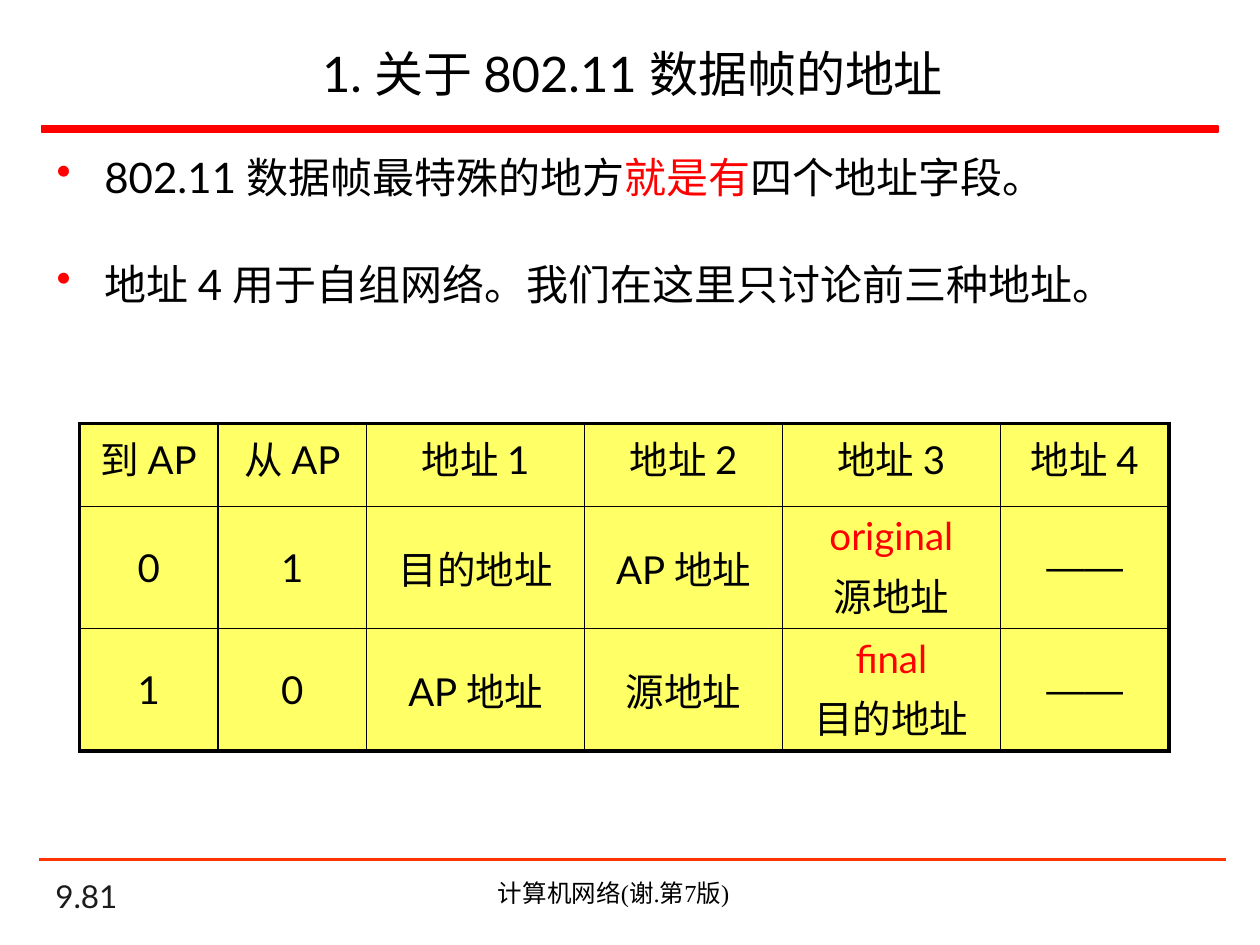
from lxml import etree
from pptx import Presentation, util as u
from pptx.dml.color import RGBColor
from pptx.enum import shapes, text
from pptx.oxml import ns

BLACK, RED, YELLOW = "000000", "FF0000", "FFFF66"
DASH = "——"
ROWS = [
    ["到 AP", "从 AP", "地址 1", "地址 2", "地址 3", "地址 4"],
    ["0", "1", "目的地址", "AP 地址", ("original", "源地址"), DASH],
    ["1", "0", "AP 地址", "源地址", ("final", "目的地址"), DASH],
]
COLUMN_WIDTHS = [1.1, 1.18, 1.73, 1.57, 1.73, 1.34]
ROW_HEIGHTS = [0.66, 0.97, 0.97]


def colour(value):
    """Turn a hex string into a colour."""
    return RGBColor.from_string(value)


def inches(box):
    """Turn the numbers of a box into lengths."""
    return [u.Inches(value) for value in box]


def add_span(para, words, size, hue=BLACK, face="Lato"):
    """Add one formatted run to a paragraph."""
    span = para.add_run()
    span.text = words
    span.font.size = u.Pt(size)
    span.font.name = face
    span.font.color.rgb = colour(hue)


def add_text_box(page, box):
    """Add a wrapping text box and return its frame."""
    frame = page.shapes.add_textbox(*inches(box)).text_frame
    frame.word_wrap = True
    return frame


def set_title(page, box):
    """Place and fill the title with the red bar below it."""
    title = page.shapes.title
    title.left, title.top, title.width, title.height = inches(box)
    frame = title.text_frame
    frame.vertical_anchor = text.MSO_ANCHOR.MIDDLE
    para = frame.paragraphs[0]
    para.alignment = text.PP_ALIGN.CENTER
    add_span(para, "1. 关于 802.11 数据帧的地址", 28)
    left, top, _, height = box
    bar_box = left - 0.06, top + height + 0.06, 9.34, 0.05
    bar = page.shapes.add_shape(shapes.MSO_SHAPE.RECTANGLE, *inches(bar_box))
    bar.shadow.inherit = False
    bar.fill.solid()
    bar.fill.fore_color.rgb = colour(RED)
    bar.line.color.rgb = colour(RED)
    bar.line.width = u.Pt(1)


def add_bullet(para):
    """Give a paragraph a hanging red bullet."""
    props = para._p.get_or_add_pPr()
    props.set("marL", str(u.Inches(0.38)))
    props.set("indent", str(u.Inches(-0.38)))
    hue = etree.SubElement(props, ns.qn("a:buClr"))
    etree.SubElement(hue, ns.qn("a:srgbClr"), val=RED)
    etree.SubElement(props, ns.qn("a:buChar"), char="•")


def add_points(page, box):
    """Write the two bulleted points."""
    frame = add_text_box(page, box)
    first, second = frame.paragraphs[0], frame.add_paragraph()
    for para in (first, second):
        add_bullet(para)
    second.space_before = u.Pt(32.7)
    add_span(first, "802.11 数据帧最特殊的地方", 24)
    add_span(first, "就是有", 24, RED)
    add_span(first, "四个地址字段。", 24)
    add_span(second, "地址 4 用于自组网络。我们在这里只讨论前三种地址。", 24)


def set_borders(cell, outer_sides):
    """Draw thin cell borders, thick on the outer sides."""
    props = cell._tc.get_or_add_tcPr()
    for index, side in enumerate("LRTB"):
        width = u.Pt(2.25 if side in outer_sides else 1)
        line = etree.Element(ns.qn(f"a:ln{side}"), w=str(width))
        fill = etree.SubElement(line, ns.qn("a:solidFill"))
        etree.SubElement(fill, ns.qn("a:srgbClr"), val=BLACK)
        props.insert(index, line)


def fill_cell(cell, content, anchor):
    """Colour a cell and write its centred lines."""
    cell.fill.solid()
    cell.fill.fore_color.rgb = colour(YELLOW)
    cell.vertical_anchor = anchor
    lines = [content] if isinstance(content, str) else content
    frame = cell.text_frame
    for index, words in enumerate(lines):
        para = frame.add_paragraph() if index else frame.paragraphs[0]
        para.alignment = text.PP_ALIGN.CENTER
        if index:
            para.space_before = u.Pt(4.4)
        hue = RED if len(lines) > 1 and index == 0 else BLACK
        add_span(para, words, 22, hue, "Arial" if words == DASH else "Lato")


def add_address_table(page, left, top):
    """Build the table of address fields."""
    box = left, top, sum(COLUMN_WIDTHS), sum(ROW_HEIGHTS)
    table = page.shapes.add_table(len(ROWS), len(COLUMN_WIDTHS), *inches(box)).table
    for column, width in zip(table.columns, COLUMN_WIDTHS):
        column.width = u.Inches(width)
    last_row, last_column = len(ROWS) - 1, len(COLUMN_WIDTHS) - 1
    for r, row in enumerate(ROWS):
        table.rows[r].height = u.Inches(ROW_HEIGHTS[r])
        anchor = text.MSO_ANCHOR.MIDDLE if r else text.MSO_ANCHOR.TOP
        for c, content in enumerate(row):
            cell = table.cell(r, c)
            fill_cell(cell, content, anchor)
            edges = {"L": c == 0, "R": c == last_column, "T": r == 0, "B": r == last_row}
            set_borders(cell, [side for side, outer in edges.items() if outer])


def add_footer(page, left, top, width):
    """Draw the footer rule, page number and book name."""
    ends = inches((left, top, left + width, top))
    rule = page.shapes.add_connector(shapes.MSO_CONNECTOR.STRAIGHT, *ends)
    rule.line.color.rgb = colour("FF3300")
    rule.line.width = u.Pt(1.5)
    etree.SubElement(rule._element.spPr, ns.qn("a:effectLst"))
    number = add_text_box(page, (left + 0.03, top + 0.16, 2.08, 0.33))
    number.vertical_anchor = text.MSO_ANCHOR.BOTTOM
    add_span(number.paragraphs[0], "9.81", 18, "1C1C1C")
    book = add_text_box(page, (left + 2.52, top + 0.1, 4.08, 0.34)).paragraphs[0]
    book.alignment = text.PP_ALIGN.CENTER
    add_span(book, "计算机网络(谢.第7版)", 14, BLACK, "Times New Roman")


def main():
    """Build the slide and save it."""
    deck = Presentation()
    deck.slide_width, deck.slide_height = u.Inches(10), u.Inches(7.5)
    page = deck.slides.add_slide(deck.slide_layouts[5])
    set_title(page, (0.39, 0.21, 9.26, 0.73))
    add_points(page, (0.35, 1.15, 9.29, 1.6))
    add_address_table(page, 0.63, 3.36)
    add_footer(page, 0.31, 6.82, 9.42)
    deck.save("out.pptx")


if __name__ == "__main__":
    main()
